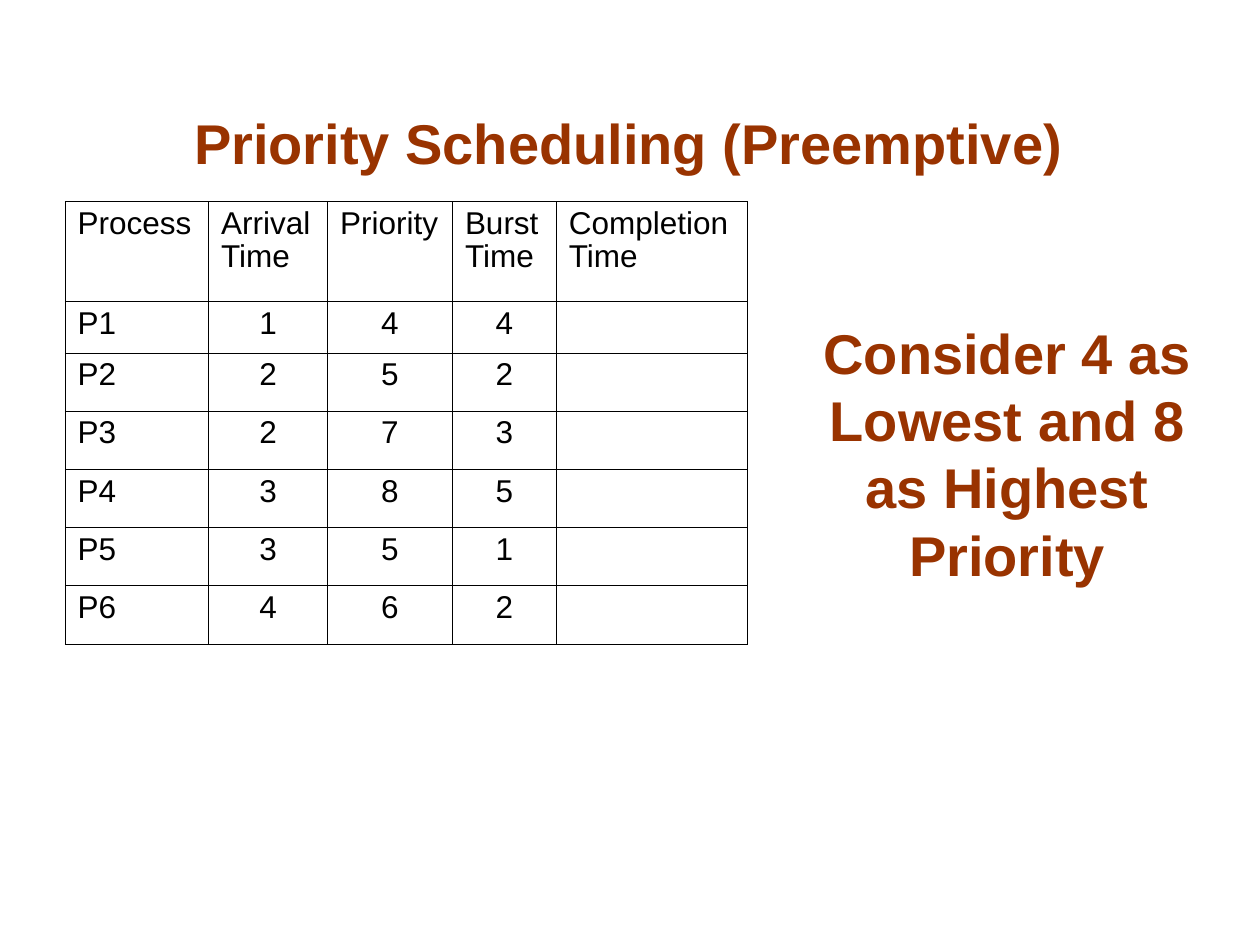
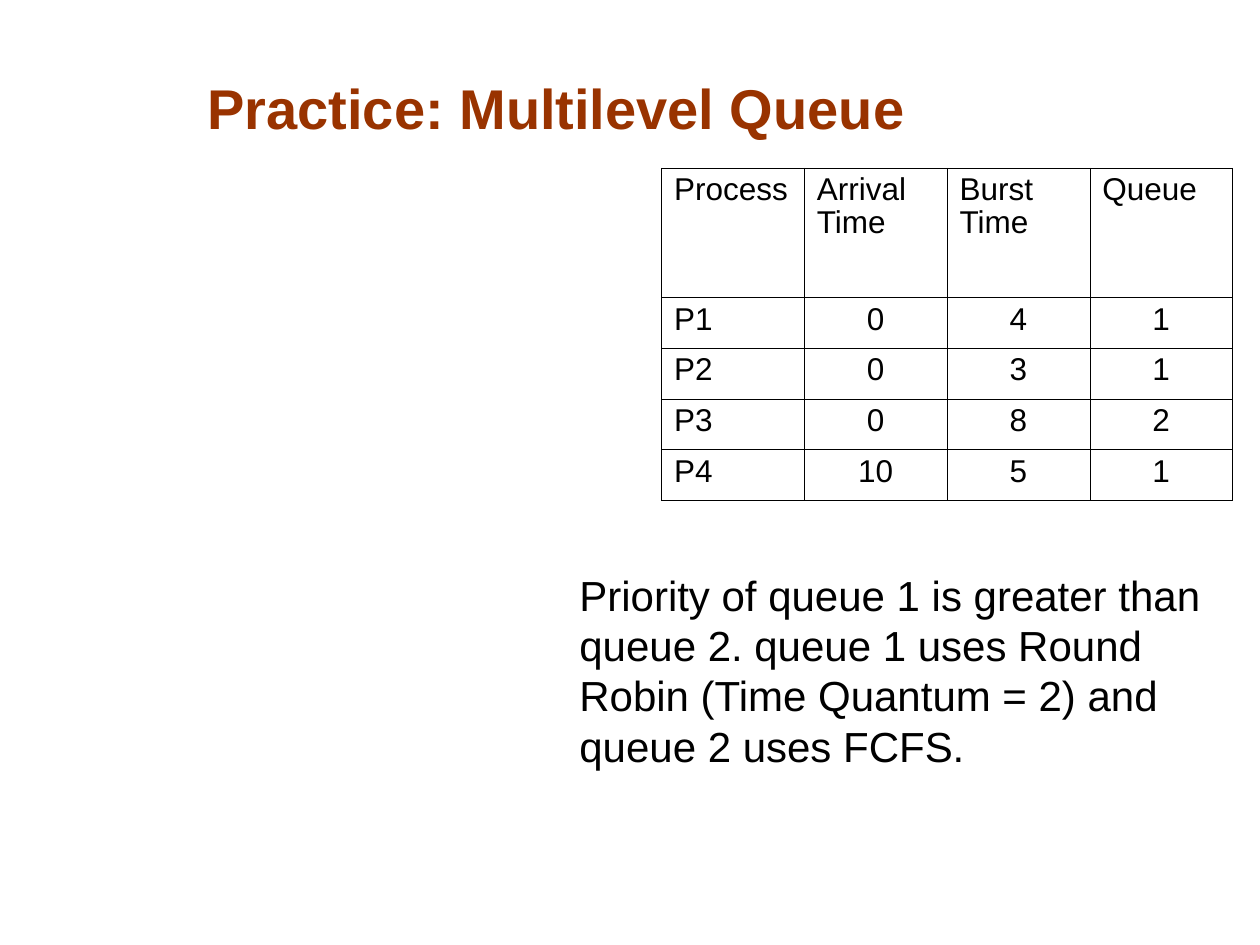
from lxml import etree
from pptx import Presentation
from pptx.dml.color import RGBColor
from pptx.enum.text import MSO_ANCHOR as Anchor, PP_ALIGN as Align
from pptx.oxml import parse_xml
from pptx.oxml.ns import nsdecls
from pptx.util import Pt

# Shared style
FONT = "Arial"
RUST = "993300"
BLACK = "000000"
TITLE_SIZE = 32
CELL_SIZE = 18
BORDER_WIDTH = Pt(0.11)


def write_text(frame, text, size, color, bold=False, align=Align.LEFT):
    paragraph = frame.paragraphs[0]
    paragraph.alignment = align
    run = paragraph.add_run()
    run.text = text
    run.font.name = FONT
    run.font.size = Pt(size)
    run.font.bold = bold
    run.font.color.rgb = RGBColor.from_string(color)
    return paragraph


def draw_borders(cell):
    properties = cell._tc.get_or_add_tcPr()
    for position, side in enumerate(["lnL", "lnR", "lnT", "lnB"]):
        line = parse_xml(f'<a:{side} {nsdecls("a")} w="{BORDER_WIDTH}"/>')
        fill = etree.SubElement(line, line.tag.replace(side, "solidFill"))
        etree.SubElement(fill, line.tag.replace(side, "srgbClr"), val=BLACK)
        properties.insert(position, line)


# Content: text boxes are (text, left, top, width, height)
slides = [
    {
        "headings": [
            ("Priority Scheduling (Preemptive)", 53.3, 52.6, 612, 51.1),
            ("Consider 4 as Lowest and 8 as Highest Priority", 447.1, 157, 257, 182.2),
        ],
        "notes": [],
        "table_at": (37.2, 115),
        "columns": [82, 68, 71.4, 59.4, 109.2],
        "rows": [57.2, 29.5] + [33.25] * 5,
        "cells": [
            ["Process", "Arrival Time", "Priority", "Burst Time", "Completion Time"],
            ["P1", "1", "4", "4", ""],
            ["P2", "2", "5", "2", ""],
            ["P3", "2", "7", "3", ""],
            ["P4", "3", "8", "5", ""],
            ["P5", "3", "5", "1", ""],
            ["P6", "4", "6", "2", ""],
        ],
    },
    {
        "headings": [("Practice: Multilevel Queue", 12, 12, 612, 72)],
        "notes": [
            ("Priority of queue 1 is greater than queue 2. queue 1 uses Round Robin "
             "(Time Quantum = 2) and queue 2 uses FCFS.", 324, 306, 371, 138),
        ],
        "table_at": (378, 96),
        "columns": [81.6] * 4,
        "rows": [73.9] + [29] * 4,
        "cells": [
            ["Process", "Arrival Time", "Burst Time", "Queue"],
            ["P1", "0", "4", "1"],
            ["P2", "0", "3", "1"],
            ["P3", "0", "8", "2"],
            ["P4", "10", "5", "1"],
        ],
    },
]

presentation = Presentation()
presentation.slide_width = Pt(720)
presentation.slide_height = Pt(540)

for content in slides:
    slide = presentation.slides.add_slide(presentation.slide_layouts[6])

    # Headings and notes
    styles = [
        (content["headings"], TITLE_SIZE, RUST, True, Align.CENTER),
        (content["notes"], 24, BLACK, False, Align.LEFT),
    ]
    for boxes, size, color, bold, align in styles:
        for text, *bounds in boxes:
            frame = slide.shapes.add_textbox(*map(Pt, bounds)).text_frame
            frame.word_wrap = True
            frame.vertical_anchor = Anchor.BOTTOM
            write_text(frame, text, size, color, bold, align)

    # Process table
    columns, rows = content["columns"], content["rows"]
    left, top = content["table_at"]
    table = slide.shapes.add_table(
        len(rows), len(columns), Pt(left), Pt(top), Pt(sum(columns)), Pt(sum(rows))
    ).table
    table.first_row = False
    table.horz_banding = False
    for column, width in zip(table.columns, columns):
        column.width = Pt(width)
    for row, height in zip(table.rows, rows):
        row.height = Pt(height)

    for row_index, values in enumerate(content["cells"]):
        for column_index, value in enumerate(values):
            cell = table.cell(row_index, column_index)
            cell.fill.background()
            draw_borders(cell)
            if value:
                is_number = row_index > 0 and column_index > 0
                align = Align.CENTER if is_number else Align.LEFT
                paragraph = write_text(cell.text_frame, value, CELL_SIZE, BLACK, align=align)
                paragraph.line_spacing = 0.94

presentation.save("out.pptx")
